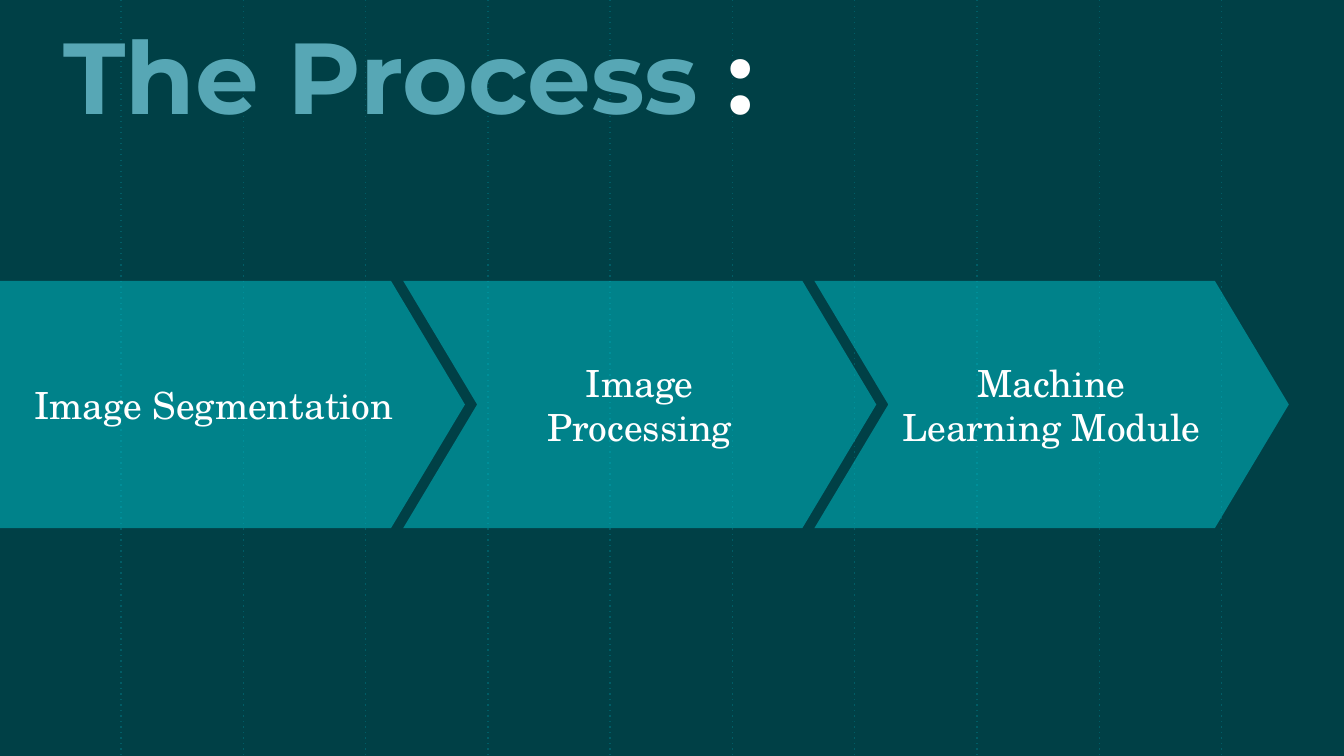
"""Build the slide that shows the three steps of the process."""
from pptx import Presentation
from pptx.dml.color import RGBColor
from pptx.enum.dml import MSO_LINE as Dash
from pptx.enum.shapes import MSO_CONNECTOR as Link, MSO_SHAPE as Form
from pptx.enum.text import MSO_ANCHOR as Anchor, MSO_AUTO_SIZE as Fit, PP_ALIGN as Align
from pptx.oxml.ns import qn
from pptx.oxml.xmlchemy import OxmlElement as Node
from pptx.util import Inches, Pt

DARK = RGBColor(0x00, 0x40, 0x46)
GRID = RGBColor(0x00, 0x5C, 0x65)
TEAL = RGBColor(0x00, 0xBF, 0xC9)
BLUE = RGBColor(0x57, 0xA7, 0xB5)
WHITE = RGBColor(0xFF, 0xFF, 0xFF)


def add_run(par, text, face, size, color, bold=False):
    run = par.add_run()
    run.text = text
    font = run.font
    font.name, font.size, font.bold = face, Pt(size), bold
    font.color.rgb = color


def set_frame(frame, anchor):
    frame.word_wrap = True
    frame.auto_size = Fit.NONE
    frame.vertical_anchor = anchor
    frame.margin_left = frame.margin_right = Inches(0.1)
    frame.margin_top = frame.margin_bottom = Inches(0.1)


deck = Presentation()
deck.slide_width, deck.slide_height = Inches(10), Inches(10 * 9 / 16)
slide = deck.slides.add_slide(deck.slide_layouts[5])
shapes = slide.shapes
slide.background.fill.solid()
slide.background.fill.fore_color.rgb = DARK

for col in range(10):
    x = Inches(0.9 + 0.91 * col)
    rule = shapes.add_connector(Link.STRAIGHT, x, 0, x, deck.slide_height)
    rule.line.color.rgb = GRID
    rule.line.width = Pt(0.75)
    rule.line.dash_style = Dash.ROUND_DOT
    rule.line._ln.find(qn("a:prstDash")).set("val", "dot")
    rule._element.spPr.append(Node("a:effectLst"))

title = shapes.title
title.left, title.top = Inches(0.37), Inches(0.34)
title.width, title.height = Inches(6.47), Inches(0.76)
set_frame(title.text_frame, Anchor.BOTTOM)
par = title.text_frame.paragraphs[0]
par.alignment = Align.LEFT
add_run(par, "The Process ", "Montserrat", 54, BLUE, True)
add_run(par, ":", "Montserrat", 54, WHITE, True)
shapes._spTree.append(title._element)

high, tip = 1.84, 0.55
steps = [
    ("Image Segmentation", Form.PENTAGON, 0, 3.46),
    ("Image Processing", Form.CHEVRON, 3, 3.52),
    ("Machine Learning Module", Form.CHEVRON, 6.06, 3.53),
]
for text, form, left, width in steps:
    step = shapes.add_shape(form, Inches(left), Inches(2.09), Inches(width), Inches(high))
    step.adjustments[0] = tip / high
    step.shadow.inherit = False
    step.line.fill.background()
    step.fill.solid()
    step.fill.fore_color.rgb = TEAL
    alpha = Node("a:alpha")
    alpha.set("val", "52000")
    step._element.spPr.find(qn("a:solidFill"))[0].append(alpha)
    set_frame(step.text_frame, Anchor.MIDDLE)
    par = step.text_frame.paragraphs[0]
    par.alignment = Align.CENTER
    add_run(par, text, "TeX Gyre Schola", 20, WHITE)

deck.save("out.pptx")
